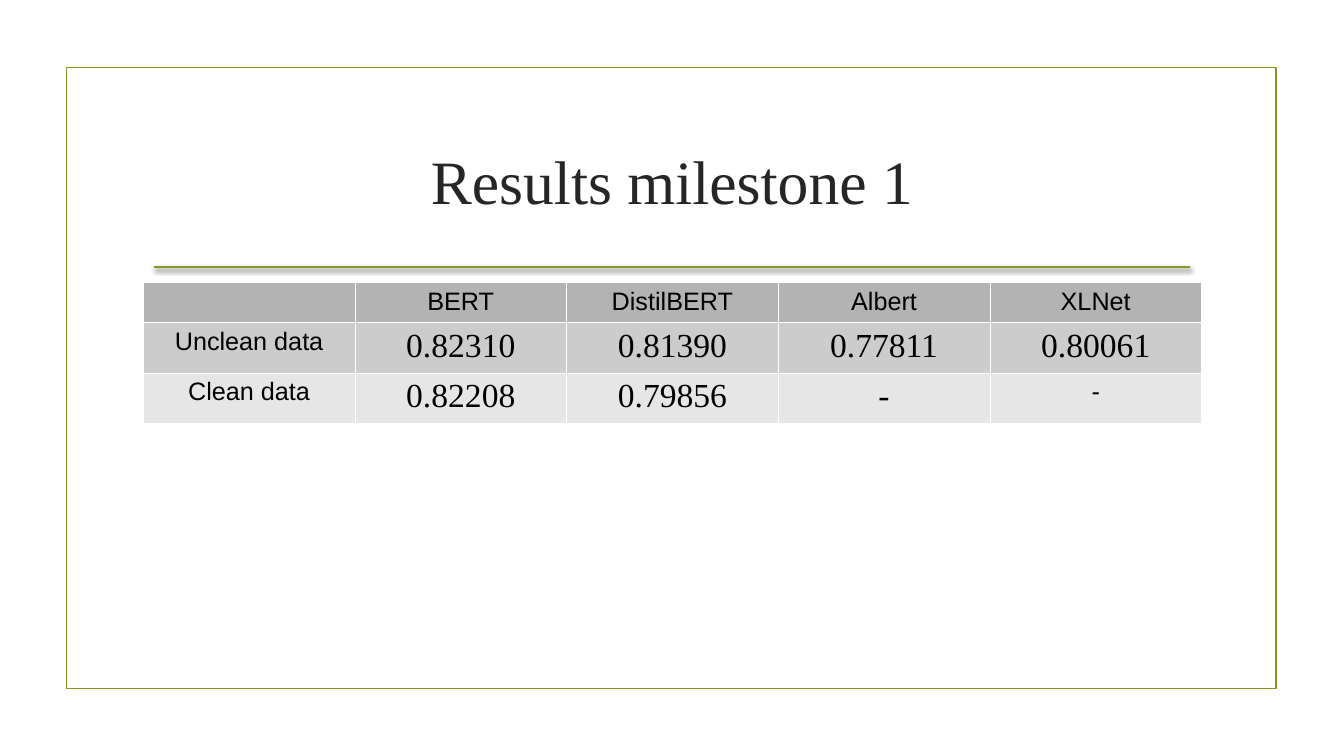
from lxml import etree
from pptx import Presentation
from pptx.dml.color import RGBColor
from pptx.enum.shapes import MSO_CONNECTOR, MSO_SHAPE
from pptx.enum.text import MSO_ANCHOR, PP_ALIGN
from pptx.oxml.ns import qn
from pptx.util import Cm, Pt

RECT = MSO_SHAPE.RECTANGLE
STRAIGHT = MSO_CONNECTOR.STRAIGHT
MIDDLE = MSO_ANCHOR.MIDDLE
CENTER = PP_ALIGN.CENTER

TITLE = "Results milestone 1"
LABEL = ("Arial", 18)
VALUE = ("Times New Roman", 24)
RESULTS = [
    ["", "BERT", "DistilBERT", "Albert", "XLNet"],
    ["Unclean data", "0.82310", "0.81390", "0.77811", "0.80061"],
    ["Clean data", "0.82208", "0.79856", "-", "-"],
]
LABEL_CELLS = {(2, 4)}  # set like a label, outside the first row and column
ROW_FILLS = ["B3B3B3", "CCCCCC", "E6E6E6"]
ROW_HEIGHTS = [0.97, 1.19, 1.19]
LEFT, WIDTH = 3.61, 26.67


def rgb(value):
    return RGBColor.from_string(value)


def write(tf, text, font, color):
    tf.text = text
    p = tf.paragraphs[0]
    p.alignment = CENTER
    p.font.name, p.font.size = font[0], Pt(font[1])
    for r in p.runs:
        r.font.name, r.font.size = font[0], Pt(font[1])
        r.font.color.rgb = rgb(color)


def add_color(parent, color):
    fill = etree.SubElement(parent, qn("a:solidFill"))
    return etree.SubElement(fill, qn("a:srgbClr"), val=color)


def add_shadow(sp, color, opacity, blur, distance):
    """Give a line a soft shadow straight below it."""
    effects = etree.SubElement(sp._element.spPr, qn("a:effectLst"))
    shadow = etree.SubElement(
        effects, qn("a:outerShdw"), blurRad=str(Pt(blur)), dist=str(Pt(distance)),
        dir="5400000", rotWithShape="0")
    clr = etree.SubElement(shadow, qn("a:srgbClr"), val=color)
    etree.SubElement(clr, qn("a:alpha"), val=str(opacity * 1000))


def add_borders(cell, color, width):
    props = cell._tc.get_or_add_tcPr()
    for side in ("lnL", "lnR", "lnT", "lnB"):
        add_color(etree.SubElement(props, qn("a:" + side), w=str(Pt(width))), color)


prs = Presentation()
prs.slide_width, prs.slide_height = Cm(33.87), Cm(19.05)
s = prs.slides.add_slide(prs.slide_layouts[6])

frame = s.shapes.add_shape(RECT, Cm(1.68), Cm(1.7), Cm(30.48), Cm(15.65))
frame.shadow.inherit = False
frame.fill.background()
frame.line.color.rgb = rgb("829826")
frame.line.width = Pt(1.25)

rule = s.shapes.add_connector(STRAIGHT, Cm(3.89), Cm(6.73), Cm(30), Cm(6.73))
rule.line.color.rgb = rgb("83992A")
rule.line.width = Pt(2)
add_shadow(rule, "000000", 38, 3.1, 1.6)

title = s.shapes.add_textbox(Cm(LEFT), Cm(2.72), Cm(WIDTH), Cm(3.61))
title.text_frame.word_wrap = True
title.text_frame.vertical_anchor = MIDDLE
write(title.text_frame, TITLE, ("Times New Roman", 44), "262626")

table = s.shapes.add_table(len(RESULTS), len(RESULTS[0]), Cm(LEFT), Cm(7.11),
                           Cm(WIDTH), Cm(sum(ROW_HEIGHTS))).table
table.first_row = table.horz_banding = False
for i, texts in enumerate(RESULTS):
    table.rows[i].height = Cm(ROW_HEIGHTS[i])
    for j, text in enumerate(texts):
        cell = table.cell(i, j)
        is_label = i == 0 or j == 0 or (i, j) in LABEL_CELLS
        write(cell.text_frame, text, LABEL if is_label else VALUE, "000000")
        add_borders(cell, "FFFFFF", 0.06)
        cell.fill.solid()
        cell.fill.fore_color.rgb = rgb(ROW_FILLS[i])

prs.save("out.pptx")
